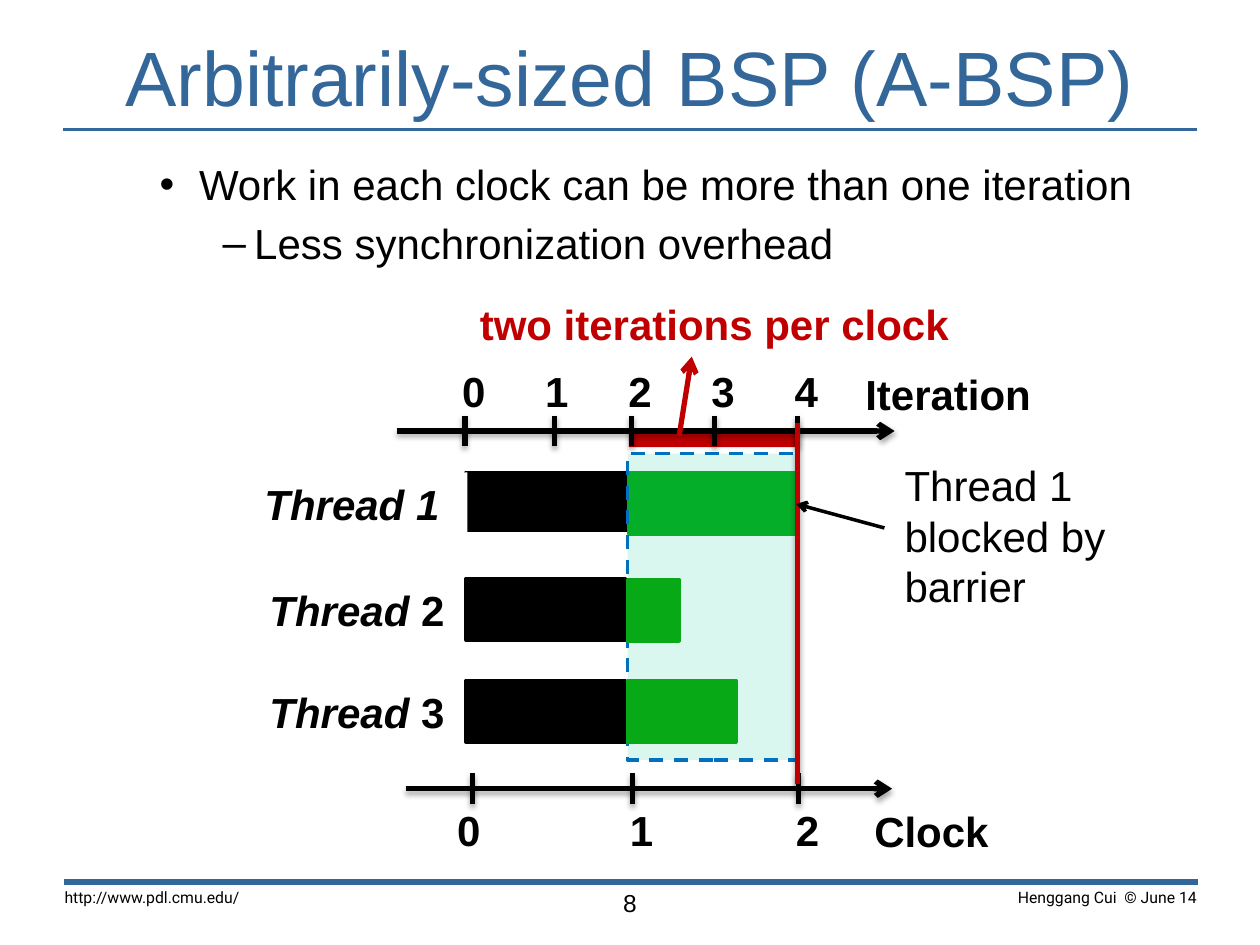
from dataclasses import dataclass

from lxml import etree
from pptx import Presentation
from pptx.dml.color import RGBColor
from pptx.enum.dml import MSO_LINE
from pptx.enum.shapes import MSO_CONNECTOR, MSO_SHAPE
from pptx.enum.text import MSO_ANCHOR, PP_ALIGN
from pptx.oxml import parse_xml
from pptx.oxml.ns import nsdecls, qn
from pptx.util import Pt

LEFT, CENTER, RIGHT = PP_ALIGN.LEFT, PP_ALIGN.CENTER, PP_ALIGN.RIGHT
MIDDLE = MSO_ANCHOR.MIDDLE
RECT = MSO_SHAPE.RECTANGLE
STRAIGHT = MSO_CONNECTOR.STRAIGHT
DASH = MSO_LINE.DASH


@dataclass(frozen=True)
class Theme:
    blue: str = "336699"
    black: str = "000000"
    white: str = "FFFFFF"
    red: str = "C00000"
    green: str = "07A916"
    window: str = "00CC99"
    dash: str = "0070C0"
    font: str = "Arial"
    footer_font: str = "Roboto"
    title: int = 44
    body: int = 24
    number: int = 14
    footer: int = 9


T = Theme()
SHADOW = (
    f'<a:effectLst {nsdecls("a")}><a:outerShdw blurRad="{Pt(3.1)}" dist="{Pt(1.8)}" '
    f'dir="5400000" rotWithShape="0"><a:srgbClr val="{T.black}"><a:alpha val="35000"/>'
    "</a:srgbClr></a:outerShdw></a:effectLst>"
)

prs = Presentation()
prs.slide_width, prs.slide_height = Pt(720), Pt(540)
s = prs.slides.add_slide(prs.slide_layouts[5])


def add_text(x, y, w, h, runs, size=T.body, color=T.black, font=T.font, align=LEFT,
             wrap=True, inset=(7.2, 3.6)):
    """Add a one-paragraph box; runs holds (text, bold, italic), text "\\n" being a line break."""
    sp = s.shapes.add_textbox(Pt(x), Pt(y), Pt(w), Pt(h))
    tf = sp.text_frame
    tf.word_wrap = wrap
    tf.margin_left = tf.margin_right = Pt(inset[0])
    tf.margin_top = tf.margin_bottom = Pt(inset[1])
    p = tf.paragraphs[0]
    p.alignment = align
    for text, bold, italic in runs:
        if text == "\n":
            p.add_line_break()
            continue
        r = p.add_run()
        r.text = text
        r.font.name, r.font.size = font, Pt(size)
        r.font.bold, r.font.italic = bold, italic
        r.font.color.rgb = RGBColor.from_string(color)


def add_line(x1, y1, x2, y2, color=T.black, width=3, arrow=False, shadow=True):
    line = s.shapes.add_connector(STRAIGHT, Pt(x1), Pt(y1), Pt(x2), Pt(y2))
    line.line.width = Pt(width)
    line.line.color.rgb = RGBColor.from_string(color)
    if arrow:
        ln = line._element.spPr.find(qn("a:ln"))
        etree.SubElement(ln, qn("a:tailEnd"), type="arrow")
    effects = SHADOW if shadow else f'<a:effectLst {nsdecls("a")}/>'
    line._element.spPr.append(parse_xml(effects))


# Title and rules
title = s.shapes.title
title.left, title.top, title.width, title.height = Pt(0), Pt(16.5), Pt(720), Pt(54)
tf = title.text_frame
tf.vertical_anchor = MIDDLE
p = tf.paragraphs[0]
p.alignment = CENTER
r = p.add_run()
r.text = "Arbitrarily-sized BSP (A-BSP)"
r.font.name, r.font.size = T.font, Pt(T.title)
r.font.color.rgb = RGBColor.from_string(T.blue)
add_line(36, 74, 684, 74, T.blue, 2, shadow=False)
add_line(36.7, 504, 684.7, 504, T.blue, 3.5, shadow=False)

# Bullets
tf = s.shapes.add_textbox(Pt(48.2), Pt(87.1), Pt(612), Pt(70)).text_frame
tf.word_wrap = True
for i, (text, bullet, margin, hanging) in enumerate([
    ("Work in each clock can be more than one iteration", "•", 58.5, 22.5),
    ("Less synchronization overhead", "–", 90, 18),
]):
    p = tf.add_paragraph() if i else tf.paragraphs[0]
    p.level = i
    pPr = p._p.get_or_add_pPr()
    pPr.set("marL", str(Pt(margin)))
    pPr.set("indent", str(-Pt(hanging)))
    etree.SubElement(pPr, qn("a:buFont"), typeface=T.font)
    etree.SubElement(pPr, qn("a:buChar"), char=bullet)
    if i:
        p.space_before = Pt(4.8)
    r = p.add_run()
    r.text = text
    r.font.name, r.font.size = T.font, Pt(T.body)
    r.font.color.rgb = RGBColor.from_string(T.black)

# Footer
for x, w, text, size, font, align in [
    (508.7, 183, "Henggang Cui  © June 14", T.footer, T.footer_font, RIGHT),
    (29, 180, "http://www.pdl.cmu.edu/", T.footer, T.footer_font, LEFT),
    (290, 140, "8", T.number, T.font, CENTER),
]:
    add_text(x, 503, w, 30, [(text, False, False)], size, font=font, align=align,
             inset=(7.9, 4.3))

# Bars, back to front: black work, red clock span, green work, clock window
for x, y, w, h, fill, border in [
    (266.4, 388.8, 90.7, 35.3, T.black, T.black),
    (266.4, 330.5, 90.7, 35.3, T.black, T.black),
    (266.4, 270, 102, 33.1, T.black, T.black),
    (144, 270, 123.1, 36, T.white, None),
    (359.3, 245.5, 95, 10.1, T.red, None),
    (359.3, 270, 95.8, 35.3, T.green, T.green),
    (358.6, 259.2, 97.2, 175, T.window, T.dash),
    (358.6, 331.2, 29.5, 35.3, T.green, T.green),
    (358.6, 388.8, 61.9, 35.3, T.green, T.green),
]:
    sp = s.shapes.add_shape(RECT, Pt(x), Pt(y), Pt(w), Pt(h))
    sp.shadow.inherit = False
    sp.fill.solid()
    sp.fill.fore_color.rgb = RGBColor.from_string(fill)
    if border:
        sp.line.color.rgb = RGBColor.from_string(border)
        sp.line.width = Pt(2)
    else:
        sp.line.fill.background()
    if fill == T.window:
        sp.line.dash_style = DASH
        color = sp._element.spPr.find(qn("a:solidFill"))[0]
        etree.SubElement(color, qn("a:alpha"), val="15000")

for x, y, w, runs in [
    (144, 270, 123.1, [("Thread 1", True, True)]),
    (146.9, 330.5, 118, [("Thread ", True, True), ("2", True, False)]),
    (146.9, 388.8, 118, [("Thread ", True, True), ("3", True, False)]),
]:
    add_text(x, y, w, 36, runs, wrap=False)

# Iteration and clock axes
for name, start, end, y, ticks, label_xs, label_y, name_x, name_y, name_w in [
    ("Iteration", 226.8, 511.2, 246.3, (265.7, 316.8, 360.7, 408.2, 455.8),
     [257 + 47.5 * i for i in range(5)], 205.2, 487.4, 207, 110.2),
    ("Clock", 231.8, 509.8, 450.7, (270, 361.4, 456.5),
     (254.2, 352.8, 447.8), 456.2, 492.5, 456.8, 80.6),
]:
    add_line(start, y, end, y, arrow=True)
    for i, (tick, label_x) in enumerate(zip(ticks, label_xs)):
        add_line(tick, y - 8.7, tick, y + 8.7)
        add_text(label_x, label_y, 28, 36, [(str(i), True, False)], wrap=False)
    add_text(name_x, name_y, name_w, 36, [(name, True, False)], wrap=False)

# Barrier and callouts
add_line(455.8, 241.9, 455.8, 447.8, T.red)
add_line(505.4, 301.7, 455, 288, width=2, arrow=True, shadow=False)
add_text(509.8, 259.2, 150, 94.3, [
    ("Thread 1", False, False),
    ("\n", False, False),
    ("blocked by barrier", False, False),
])
add_line(388.1, 249.1, 395.3, 203.8, T.red, arrow=True, shadow=False)
add_text(267.1, 167, 370, 36, [("two iterations per clock", True, False)], color=T.red)

prs.save("out.pptx")
